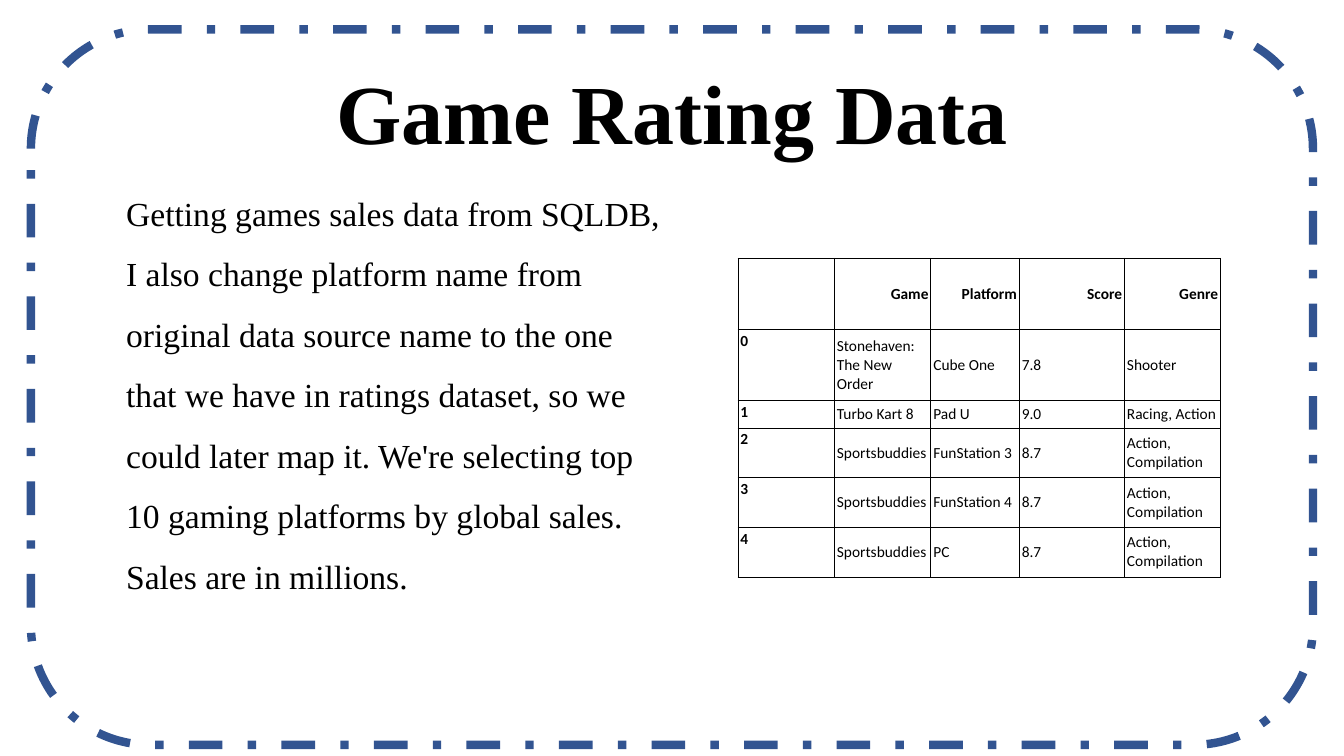
import pptx
import pptx.dml.color
import pptx.enum.dml
import pptx.enum.shapes
import pptx.enum.text
import pptx.oxml.ns
import pptx.util
from lxml import etree

Cm = pptx.util.Cm
Pt = pptx.util.Pt
RGBColor = pptx.dml.color.RGBColor
Align = pptx.enum.text.PP_ALIGN
Anchor = pptx.enum.text.MSO_ANCHOR

BLACK = RGBColor(0x00, 0x00, 0x00)
WHITE = RGBColor(0xFF, 0xFF, 0xFF)
BLUE = RGBColor(0x32, 0x54, 0x91)

TITLE = "Game Rating Data"
STORY = (
    "Getting games sales data from SQLDB, I also change platform name from "
    "original data source name to the one that we have in ratings dataset, so we "
    "could later map it. We're selecting top 10 gaming platforms by global sales. "
    "Sales are in millions."
)
RATINGS = [
    ("", "Game", "Platform", "Score", "Genre"),
    ("0", "Stonehaven: The New Order", "Cube One", "7.8", "Shooter"),
    ("1", "Turbo Kart 8", "Pad U", "9.0", "Racing, Action"),
    ("2", "Sportsbuddies", "FunStation 3", "8.7", "Action, Compilation"),
    ("3", "Sportsbuddies", "FunStation 4", "8.7", "Action, Compilation"),
    ("4", "Sportsbuddies", "PC", "8.7", "Action, Compilation"),
]
COLUMN_WIDTHS = (2.43, 2.43, 2.23, 2.65, 2.42)
ROW_HEIGHTS = (1.79, 1.79, 0.7, 1.25, 1.25, 1.25)

TITLE_FONT = {"name": "Times New Roman", "size": Pt(60), "bold": True}
STORY_FONT = {"name": "Times New Roman", "size": Pt(24), "bold": False}
RATING_FONT = {"name": "Calibri", "size": Pt(11)}
CELL_MARGINS = {
    "margin_left": Cm(0.06),
    "margin_right": Cm(0.06),
    "margin_top": Cm(0.05),
    "margin_bottom": Cm(0.05),
}


def apply(target, values):
    for key, value in values.items():
        setattr(target, key, value)


def write(paragraph, text, font, layout):
    run = paragraph.add_run()
    run.text = text
    apply(run.font, font)
    run.font.color.rgb = BLACK
    apply(paragraph, layout)


def add_text(slide, box, text, font, layout, anchor):
    frame = slide.shapes.add_textbox(*map(Cm, box)).text_frame
    apply(frame, {"word_wrap": True, "vertical_anchor": anchor})
    write(frame.paragraphs[0], text, font, layout)


def add_borders(cell):
    properties = cell._tc.get_or_add_tcPr()
    qn = pptx.oxml.ns.qn
    for side in ("lnL", "lnR", "lnT", "lnB"):
        border = etree.SubElement(properties, qn("a:" + side), w=str(Pt(0.75)))
        fill = etree.SubElement(border, qn("a:solidFill"))
        etree.SubElement(fill, qn("a:srgbClr"), val=str(BLACK))


def add_frame(slide):
    border = slide.shapes.add_shape(
        pptx.enum.shapes.MSO_SHAPE.ROUNDED_RECTANGLE,
        Cm(0.78), Cm(0.74), Cm(32.31), Cm(18.03),
    )
    border.shadow.inherit = False
    border.fill.background()
    border.line.color.rgb = BLUE
    apply(border.line, {
        "width": Pt(6),
        "dash_style": pptx.enum.dml.MSO_LINE.DASH_DOT,
    })


def add_ratings(slide):
    ratings = slide.shapes.add_table(
        len(RATINGS), len(COLUMN_WIDTHS), Cm(18.6), Cm(6.51),
        Cm(sum(COLUMN_WIDTHS)), Cm(sum(ROW_HEIGHTS)),
    ).table
    apply(ratings, {"first_row": False, "horz_banding": False})
    for column, width in zip(ratings.columns, COLUMN_WIDTHS):
        column.width = Cm(width)
    for row, height in zip(ratings.rows, ROW_HEIGHTS):
        row.height = Cm(height)

    for r, record in enumerate(RATINGS):
        for c, text in enumerate(record):
            cell = ratings.cell(r, c)
            add_borders(cell)
            cell.fill.solid()
            cell.fill.fore_color.rgb = WHITE
            apply(cell, CELL_MARGINS)
            cell.vertical_anchor = Anchor.MIDDLE if c else Anchor.TOP
            if text:
                font = {**RATING_FONT, "bold": r == 0 or c == 0}
                layout = {"alignment": Align.LEFT if r else Align.RIGHT}
                write(cell.text_frame.paragraphs[0], text, font, layout)


def main():
    deck = pptx.Presentation()
    apply(deck, {"slide_width": Cm(33.87), "slide_height": Cm(19.05)})
    slide = deck.slides.add_slide(deck.slide_layouts[6])
    add_text(slide, (4.3, 1.27, 25.27, 2.95), TITLE, TITLE_FONT,
             {"alignment": Align.CENTER, "line_spacing": 0.9}, Anchor.BOTTOM)
    add_text(slide, (2.93, 4.22, 14.02, 13.92), STORY, STORY_FONT,
             {"alignment": Align.LEFT, "line_spacing": 1.5}, Anchor.TOP)
    add_frame(slide)
    add_ratings(slide)
    deck.save("out.pptx")


if __name__ == "__main__":
    main()
